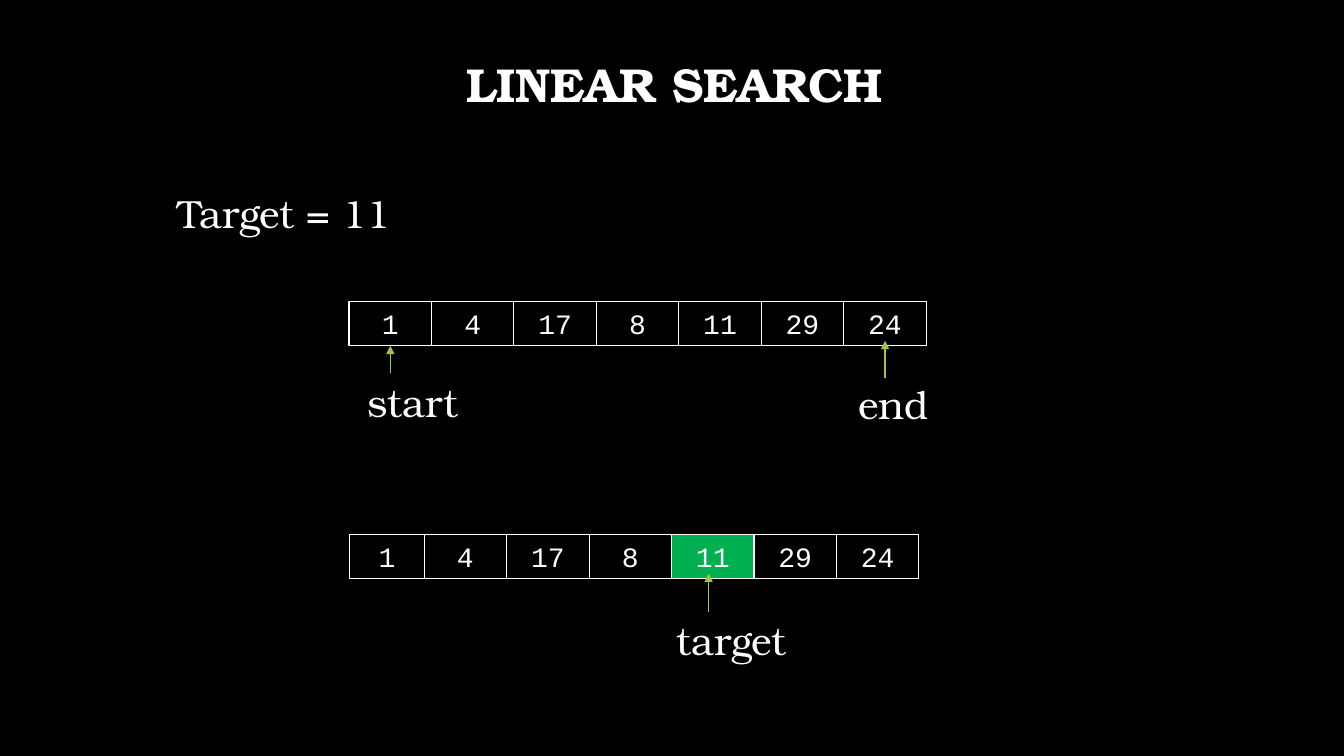
"""Build a slide that shows a linear search over a list of numbers."""
from lxml.etree import SubElement
from pptx import Presentation
from pptx.dml.color import RGBColor
from pptx.enum.shapes import MSO_CONNECTOR, MSO_SHAPE
from pptx.enum.text import MSO_ANCHOR, PP_ALIGN
from pptx.oxml.ns import qn
from pptx.util import Pt

COLORS = {"back": "000000", "text": "FFFFFF", "arrow": "9EC544", "found": "00B050"}
SERIF, MONO = "TeX Gyre Bonum", "Courier New"
FORMATS = {
    "title": {"name": SERIF, "size": Pt(34), "bold": True},
    "label": {"name": SERIF, "size": Pt(28)},
    "cell": {"name": MONO, "size": Pt(20)},
}


class Board:
    def __init__(self, slide):
        self.slide = slide
        self.paint(slide.background.fill, "back")

    def paint(self, fill, color):
        fill.solid()
        fill.fore_color.rgb = RGBColor.from_string(COLORS[color])

    def letter(self, shape, text, style, align, anchor=MSO_ANCHOR.TOP):
        frame = shape.text_frame
        frame.word_wrap = True
        frame.vertical_anchor = anchor
        para = frame.paragraphs[0]
        para.alignment = align
        run = para.add_run()
        run.text = text
        for key, value in FORMATS[style].items():
            setattr(run.font, key, value)
        self.paint(run.font.fill, "text")
        return para

    def title(self, text, *place):
        box = self.slide.shapes.add_textbox(*map(Pt, place))
        para = self.letter(box, text, "title", PP_ALIGN.CENTER, MSO_ANCHOR.MIDDLE)
        para.line_spacing = 0.9

    def label(self, text, left, top, width):
        box = self.slide.shapes.add_textbox(Pt(left), Pt(top), Pt(width), Pt(41))
        self.letter(box, text, "label", PP_ALIGN.LEFT)

    def cell(self, text, left, top, width, found):
        place = map(Pt, (left, top, width, 31.5))
        cell = self.slide.shapes.add_shape(MSO_SHAPE.RECTANGLE, *place)
        cell.shadow.inherit = False
        if found:
            self.paint(cell.fill, "found")
        else:
            cell.fill.background()
        self.paint(cell.line.fill, "text")
        cell.line.width = Pt(0.75)
        self.letter(cell, text, "cell", PP_ALIGN.CENTER)

    def row(self, values, left, top, first, target=None):
        width = first
        for value in values:
            self.cell(str(value), left, top, width, value == target)
            left += width
            width = 58.9

    def arrow(self, x, low, high):
        ends = map(Pt, (x, low, x, high))
        arrow = self.slide.shapes.add_connector(MSO_CONNECTOR.STRAIGHT, *ends)
        self.paint(arrow.line.fill, "arrow")
        arrow.line.width = Pt(1)
        props = arrow.element.spPr
        SubElement(props.find(qn("a:ln")), qn("a:tailEnd"), type="triangle")
        SubElement(props, qn("a:effectLst"))


deck = Presentation()
deck.slide_width, deck.slide_height = Pt(960), Pt(540)
board = Board(deck.slides.add_slide(deck.slide_layouts[6]))
values, target = [1, 4, 17, 8, 11, 29, 24], 11

board.title("LINEAR SEARCH", 74.2, 10, 815, 104.4)
board.label(f"Target = {target}", 120, 132, 271)
board.row(values, 249.3, 215.3, 58.9)
board.row(values, 249.8, 381.6, 53.2, target)

for text, left, top, width, x, low, high in (
    ("start", 255.6, 266.4, 124.6, 278.8, 266.4, 247),
    ("end", 606.2, 268, 152, 632.2, 270, 243.4),
    ("target", 476, 437, 236, 506.2, 437, 409.7),
):
    board.arrow(x, low, high)
    board.label(text, left, top, width)

deck.save("out.pptx")
